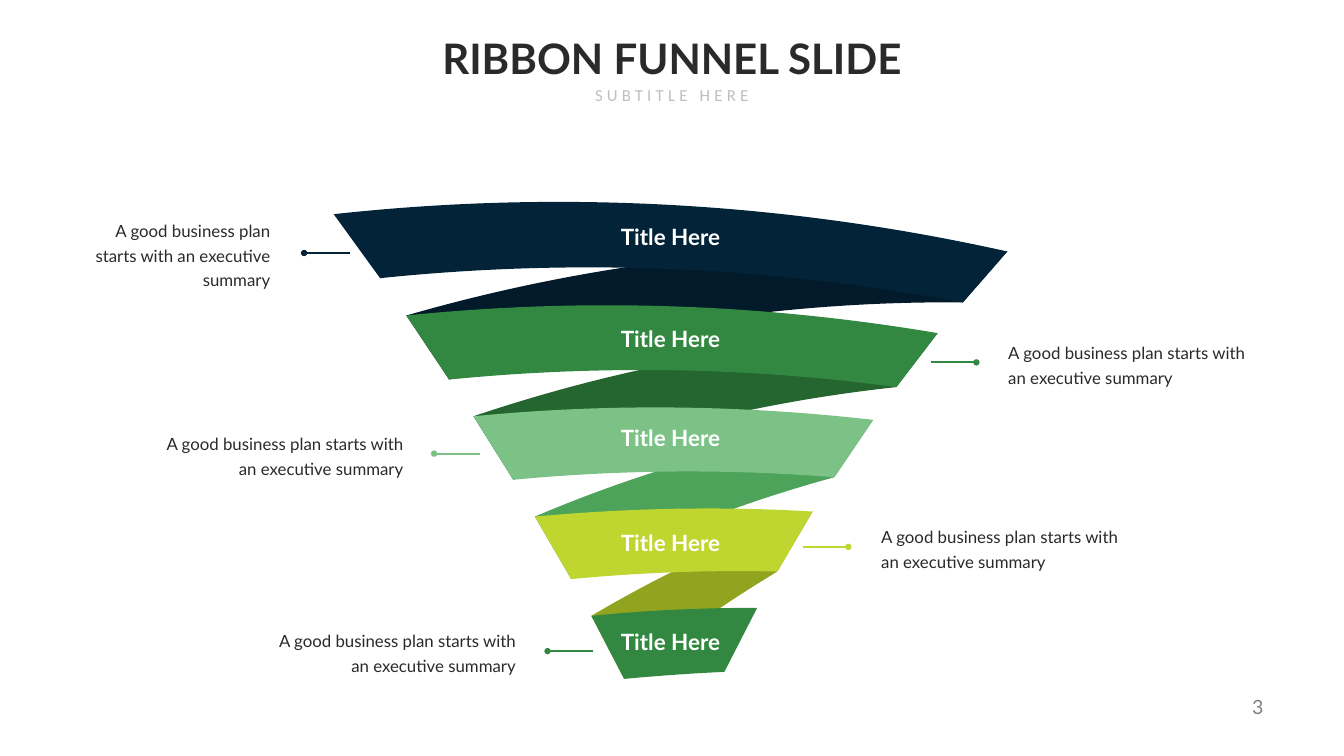
from dataclasses import dataclass

from lxml import etree
from pptx import Presentation
from pptx.dml.color import RGBColor
from pptx.enum import shapes, text
from pptx.oxml import ns
from pptx.util import Pt

NAVY = RGBColor(0x02, 0x23, 0x38)
NAVY_SHADE = RGBColor(0x02, 0x1A, 0x2A)
GREEN = RGBColor(0x32, 0x88, 0x40)
GREEN_SHADE = RGBColor(0x25, 0x66, 0x30)
MINT = RGBColor(0x7C, 0xC2, 0x87)
MINT_SHADE = RGBColor(0x4C, 0xA3, 0x59)
LIME = RGBColor(0xBE, 0xD6, 0x2F)
LIME_SHADE = RGBColor(0x91, 0xA4, 0x20)
WHITE = RGBColor(0xFF, 0xFF, 0xFF)
INK = RGBColor(0x2A, 0x2A, 0x2A)
SILVER = RGBColor(0xBF, 0xBF, 0xBF)
GRAY = RGBColor(0x80, 0x80, 0x80)

LEFT, CENTER, RIGHT = text.PP_ALIGN.LEFT, text.PP_ALIGN.CENTER, text.PP_ALIGN.RIGHT
LEADER_LENGTH = 65.4
CALLOUT = "A good business plan starts with an executive summary"


@dataclass
class Band:
    color: RGBColor
    top: list
    bottom: list
    title_top: float


@dataclass
class Fold:
    color: RGBColor
    upper_controls: list
    lower_controls: list


BANDS = [
    Band(NAVY, [(476.6, 306), (798.5, 270.7), (1122.5, 288.7), (1438.6, 359.3)],
         [(542.9, 397.4), (820.8, 368.6), (1100.2, 380.2), (1375.2, 432)], 315.4),
    Band(GREEN, [(580.3, 450.7), (833.8, 424.8), (1087.9, 433.4), (1339.2, 475.9)],
         [(641.5, 542.2), (854.6, 521.3), (1067.8, 524.2), (1280.2, 553)], 460.1),
    Band(MINT, [(676.1, 594.7), (866.2, 576), (1057, 578.2), (1247, 599.8)],
         [(733, 685.4), (885.6, 671), (1039, 669.6), (1191.6, 681.8)], 602.6),
    Band(LIME, [(763.9, 738), (896.4, 725.8), (1028.2, 722.9), (1160.6, 730.8)],
         [(815.8, 827.3), (913.7, 817.9), (1011.6, 814.3), (1110.2, 816.5)], 752.4),
    Band(GREEN, [(844.6, 879.8), (923, 871.9), (1002.2, 868.3), (1081.4, 868.3)],
         [(891.4, 969.8), (938.9, 965.5), (987.1, 961.9), (1034.6, 959.8)], 892.8),
]
FOLDS = [
    Fold(NAVY_SHADE, [(859.7, 370.1), (1149.8, 339.1)], [(879.8, 466.6), (1126.8, 429.8)]),
    Fold(GREEN_SHADE, [(891.4, 522), (1113.8, 482.4)], [(909.4, 617), (1093, 573.1)]),
    Fold(MINT_SHADE, [(919.4, 671.8), (1081.4, 626.4)], [(936, 765.4), (1062, 717.1)]),
    Fold(LIME_SHADE, [(945.4, 820.1), (1051.2, 770.4)], [(961.2, 913), (1033.9, 862.6)]),
]
CALLOUTS = [
    (NAVY, 499.7, 361.4, RIGHT, (115.9, 301.7, 287.3, 120.2)),
    (GREEN, 1329.1, 517.7, LEFT, (1422.7, 475.9, 377.3, 85)),
    (MINT, 685.4, 648, RIGHT, (216, 606.2, 377.3, 85)),
    (LIME, 1146.2, 781.2, LEFT, (1241.3, 738.7, 377.3, 85)),
    (GREEN, 847.4, 930.2, RIGHT, (376.6, 887.8, 377.3, 85)),
]


def merge_into_curve(segments):
    curve = etree.Element(ns.qn("a:cubicBezTo"))
    segments[0].addprevious(curve)
    for segment in segments:
        curve.append(segment[0])
        segment.getparent().remove(segment)


def add_ribbon(slide, color, top, bottom):
    outline = [(Pt(x), Pt(y)) for x, y in top + bottom[::-1]]
    builder = slide.shapes.build_freeform(*outline[0])
    builder.add_line_segments(outline[1:], close=True)
    shape = builder.convert_to_shape()
    segments = shape._element.xpath(".//a:lnTo")
    merge_into_curve(segments[:3])
    merge_into_curve(segments[4:7])
    shape.shadow.inherit = False
    shape.fill.solid()
    shape.fill.fore_color.rgb = color
    shape.line.fill.background()


def add_fold(slide, fold, above, below):
    top = [below.top[0], *fold.upper_controls, above.top[-1]]
    bottom = [below.bottom[0], *fold.lower_controls, above.bottom[-1]]
    add_ribbon(slide, fold.color, top, bottom)


def add_leader(slide, color, start, y, align):
    end = start - LEADER_LENGTH if align == RIGHT else start + LEADER_LENGTH
    connector = slide.shapes.add_connector(
        shapes.MSO_CONNECTOR.STRAIGHT, Pt(start), Pt(y), Pt(end), Pt(y))
    connector.line.color.rgb = color
    connector.line.width = Pt(3)
    etree.SubElement(connector.line._get_or_add_ln(), ns.qn("a:tailEnd"), type="oval")
    etree.SubElement(connector._element.spPr, ns.qn("a:effectLst"))


def add_text(slide, content, box, *, size, color, font="Lato", bold=False, align=CENTER,
             anchor=text.MSO_ANCHOR.TOP, wrap=False, inset=(7.2, 3.6),
             line_spacing=None, tracking=None):
    shape = slide.shapes.add_textbox(*map(Pt, box))
    frame = shape.text_frame
    frame.word_wrap = wrap
    frame.auto_size = text.MSO_AUTO_SIZE.SHAPE_TO_FIT_TEXT
    frame.vertical_anchor = anchor
    frame.margin_left = frame.margin_right = Pt(inset[0])
    frame.margin_top = frame.margin_bottom = Pt(inset[1])
    paragraph = frame.paragraphs[0]
    paragraph.alignment = align
    if line_spacing:
        paragraph.line_spacing = Pt(line_spacing)
    run = paragraph.add_run()
    run.text = content
    run.font.name = font
    run.font.size = Pt(size)
    run.font.bold = bold
    run.font.color.rgb = color
    if tracking:
        run.font._element.set("spc", str(tracking * 100))


def main():
    presentation = Presentation()
    presentation.slide_width = Pt(1919.52)
    presentation.slide_height = Pt(1080)
    slide = presentation.slides.add_slide(presentation.slide_layouts[6])

    add_text(slide, "3", (1751, 989, 60.5, 41),
             size=28, color=GRAY, align=RIGHT, tracking=3)
    for fold, above, below in zip(FOLDS, BANDS, BANDS[1:]):
        add_fold(slide, fold, above, below)
    for band in reversed(BANDS):
        add_ribbon(slide, band.color, band.top, band.bottom)
    for color, start, y, align, _ in CALLOUTS:
        add_leader(slide, color, start, y, align)

    add_text(slide, "RIBBON FUNNEL SLIDE", (583.2, 43.2, 753.1, 79.9),
             size=60, color=INK, bold=True)
    add_text(slide, "SUBTITLE HERE", (815, 118.1, 288.7, 36),
             size=24, color=SILVER, font="Calibri", tracking=6)
    for band in BANDS:
        add_text(slide, "Title Here", (868.3, band.title_top, 178.6, 46.1), size=32,
                 color=WHITE, bold=True, anchor=text.MSO_ANCHOR.MIDDLE)
    for *_, align, box in CALLOUTS:
        add_text(slide, CALLOUT, box, size=24, color=INK, align=align, wrap=True,
                 anchor=text.MSO_ANCHOR.MIDDLE, inset=(17.28, 8.64), line_spacing=35)

    presentation.save("out.pptx")


if __name__ == "__main__":
    main()
